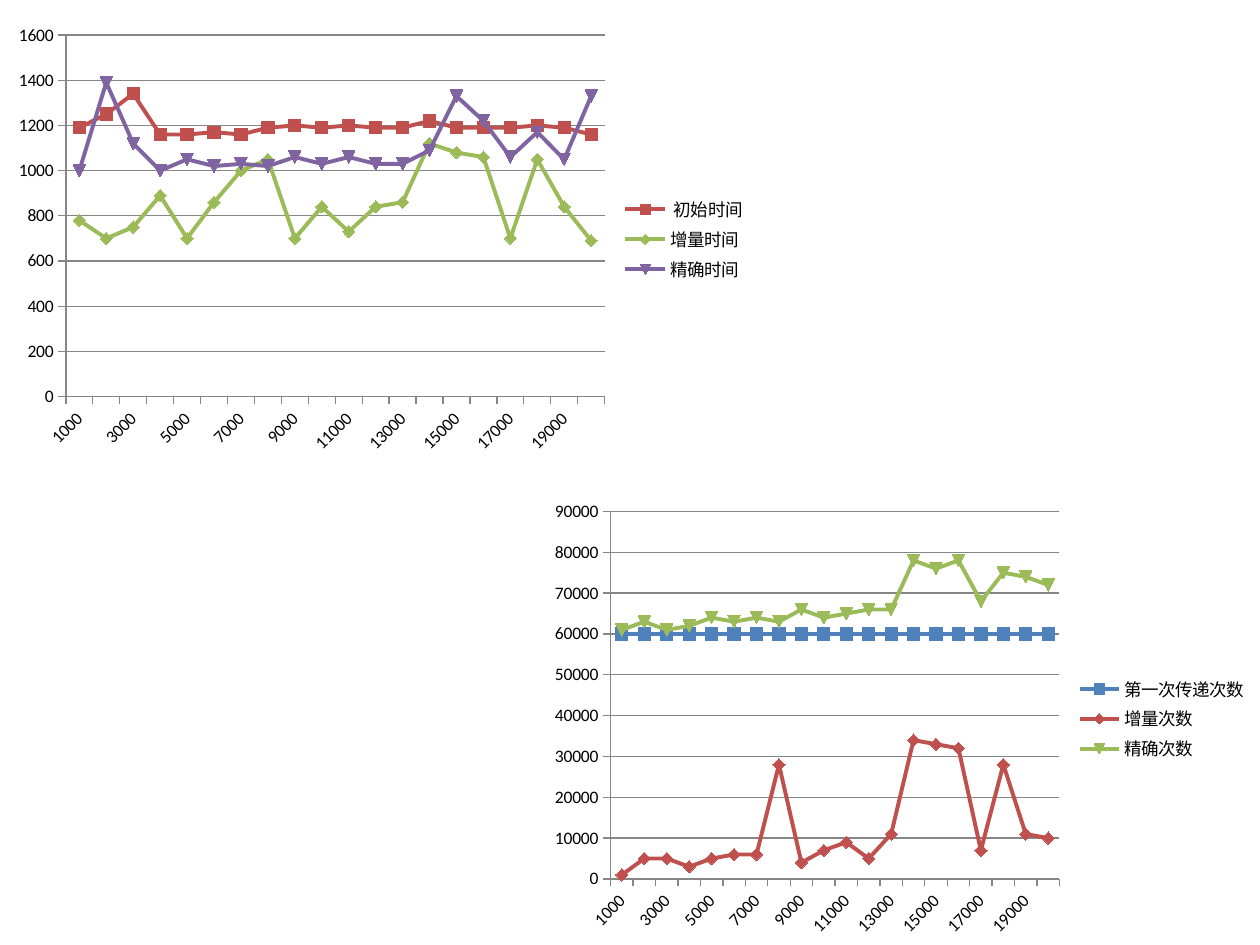
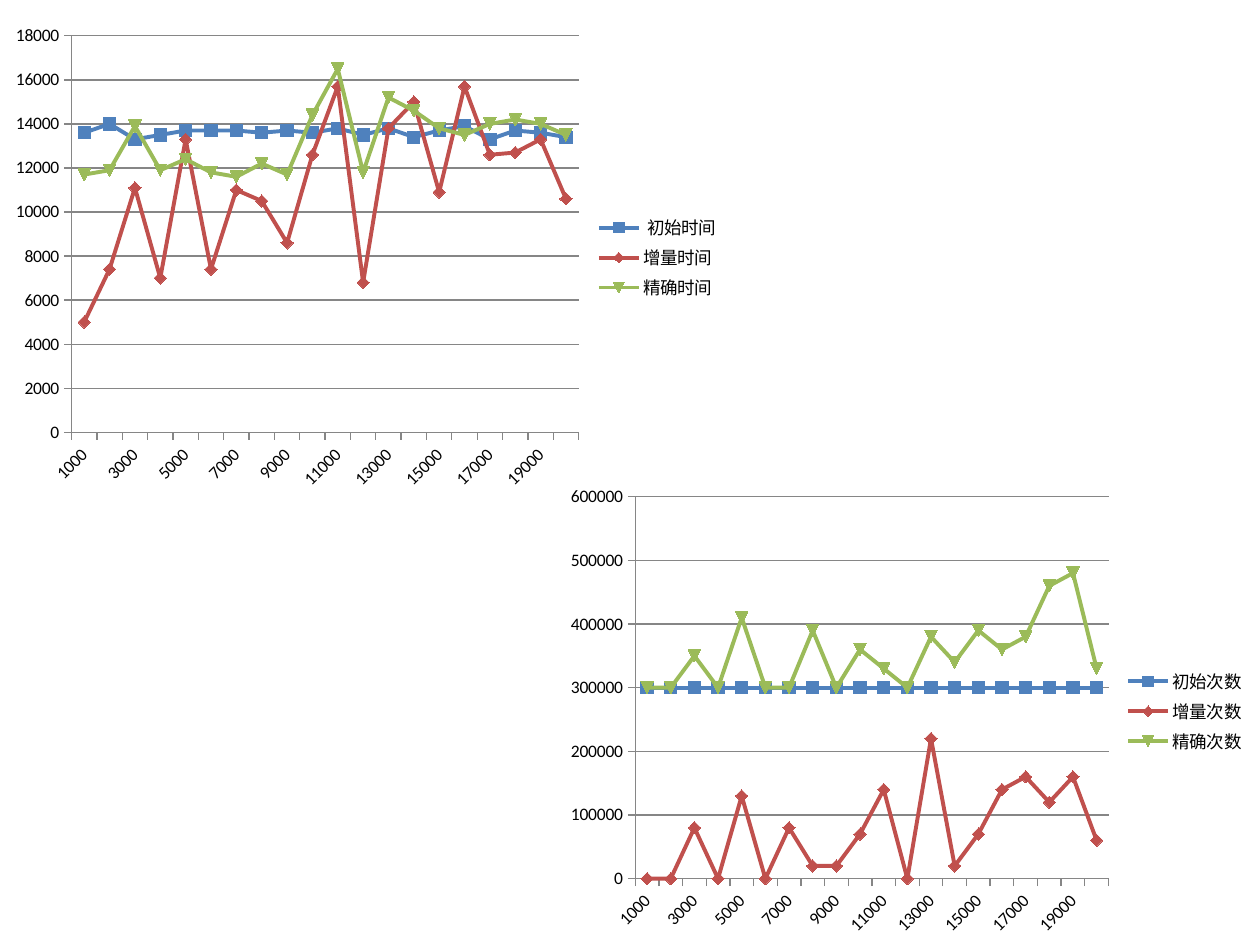
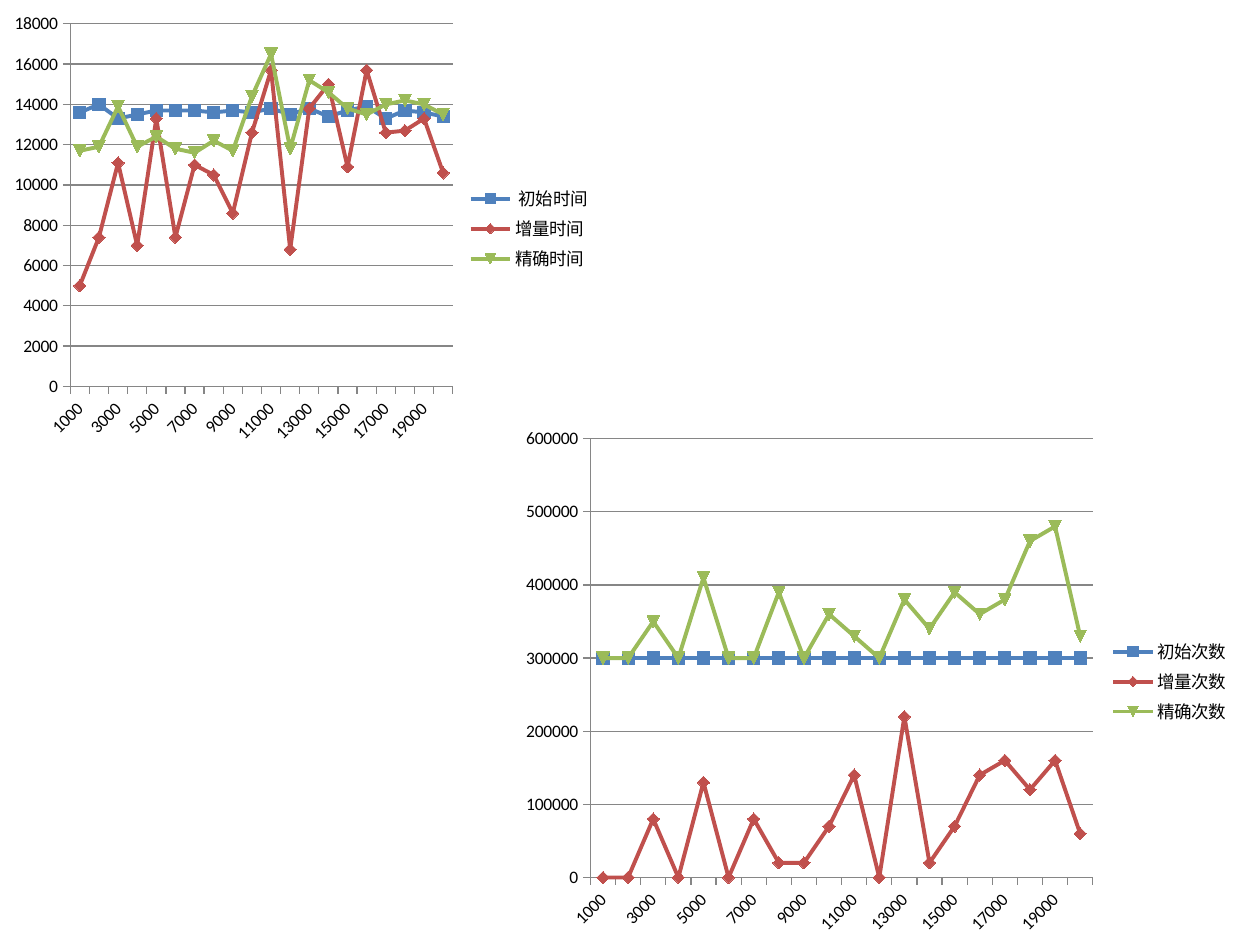
from dataclasses import dataclass

from pptx import Presentation
from pptx import util as u
from pptx.chart import data as chart_data
from pptx.dml import color
from pptx.enum import chart as chart_kinds


@dataclass(frozen=True)
class Theme:
    font: str = "Calibri"
    text_size: int = 10
    text: str = "000000"
    rule: str = "868686"
    blue: str = "4F81BD"
    red: str = "C0504D"
    green: str = "9BBB59"
    purple: str = "8064A2"
    rule_width: float = 0.75
    series_width: float = 2.25
    marker_size: int = 7


THEME = Theme()
STANDARD_COLORS = (THEME.blue, THEME.red, THEME.green)
SHIFTED_COLORS = (THEME.red, THEME.green, THEME.purple)
CATEGORIES = [str(1000 * step) for step in range(1, 21)]

SMALL_TIMES = {
    " 初始时间": [1190, 1250, 1340, 1160, 1160, 1170, 1160, 1190, 1200, 1190,
              1200, 1190, 1190, 1220, 1190, 1190, 1190, 1200, 1190, 1160],
    "增量时间": [780, 700, 750, 890, 700, 860, 1000, 1050, 700, 840,
             730, 840, 860, 1120, 1080, 1060, 700, 1050, 840, 690],
    "精确时间": [1000, 1390, 1120, 1000, 1050, 1020, 1030, 1020, 1060, 1030,
             1060, 1030, 1030, 1090, 1330, 1220, 1060, 1170, 1050, 1330],
}
SMALL_COUNTS = {
    "第一次传递次数": [60000] * len(CATEGORIES),
    "增量次数": [1000, 5000, 5000, 3000, 5000, 6000, 6000, 28000, 4000, 7000,
             9000, 5000, 11000, 34000, 33000, 32000, 7000, 28000, 11000, 10000],
    "精确次数": [61000, 63000, 61000, 62000, 64000, 63000, 64000, 63000, 66000, 64000,
             65000, 66000, 66000, 78000, 76000, 78000, 68000, 75000, 74000, 72000],
}
LARGE_TIMES = {
    " 初始时间": [13600, 14000, 13300, 13500, 13700, 13700, 13700, 13600, 13700, 13600,
              13800, 13500, 13800, 13400, 13700, 13900, 13300, 13700, 13600, 13400],
    "增量时间": [5000, 7400, 11100, 7000, 13300, 7400, 11000, 10500, 8600, 12600,
             15700, 6800, 13800, 15000, 10900, 15700, 12600, 12700, 13300, 10600],
    "精确时间": [11700, 11900, 13900, 11900, 12400, 11800, 11600, 12200, 11700, 14400,
             16500, 11800, 15200, 14600, 13800, 13500, 14000, 14200, 14000, 13500],
}
LARGE_COUNTS = {
    "初始次数": [300000] * len(CATEGORIES),
    "增量次数": [0, 0, 80000, 0, 130000, 0, 80000, 20000, 20000, 70000,
             140000, 0, 220000, 20000, 70000, 140000, 160000, 120000, 160000, 60000],
    "精确次数": [300000, 300000, 350000, 300000, 410000, 300000, 300000, 390000, 300000, 360000,
             330000, 300000, 380000, 340000, 390000, 360000, 380000, 460000, 480000, 330000],
}


def style_line(line, rgb, width):
    line.color.rgb = color.RGBColor.from_string(rgb)
    line.width = u.Pt(width)


def style_axes(chart):
    for axis in (chart.category_axis, chart.value_axis):
        axis.major_tick_mark = chart_kinds.XL_TICK_MARK.OUTSIDE
        axis.minor_tick_mark = chart_kinds.XL_TICK_MARK.NONE
        style_line(axis.format.line, THEME.rule, THEME.rule_width)
    chart.value_axis.has_major_gridlines = True
    style_line(chart.value_axis.major_gridlines.format.line, THEME.rule, THEME.rule_width)


def style_series(series, rgb):
    series.smooth = False
    style_line(series.format.line, rgb, THEME.series_width)
    series.marker.size = THEME.marker_size
    fill = series.marker.format.fill
    fill.solid()
    fill.fore_color.rgb = color.RGBColor.from_string(rgb)
    style_line(series.marker.format.line, rgb, THEME.rule_width)


def add_line_chart(slide, box, measurements, colors=STANDARD_COLORS):
    data = chart_data.CategoryChartData()
    data.categories = CATEGORIES
    for name, values in measurements.items():
        data.add_series(name, values)
    chart = slide.shapes.add_chart(
        chart_kinds.XL_CHART_TYPE.LINE_MARKERS, *map(u.Inches, box), data
    ).chart
    chart.has_title = False
    chart.font.name = THEME.font
    chart.font.size = u.Pt(THEME.text_size)
    chart.font.color.rgb = color.RGBColor.from_string(THEME.text)
    chart.has_legend = True
    chart.legend.position = chart_kinds.XL_LEGEND_POSITION.RIGHT
    chart.legend.include_in_layout = False
    style_axes(chart)
    plot = chart.plots[0]
    plot.vary_by_categories = False
    for series, rgb in zip(plot.series, colors):
        style_series(series, rgb)


def add_chart_slide(presentation, *charts):
    slide = presentation.slides.add_slide(presentation.slide_layouts[6])
    for chart in charts:
        add_line_chart(slide, *chart)


def main():
    presentation = Presentation()
    presentation.slide_width = u.Inches(10)
    presentation.slide_height = u.Inches(7.5)
    add_chart_slide(
        presentation,
        ((0.03, 0.13, 5.99, 3.54), SMALL_TIMES, SHIFTED_COLORS),
        ((4.29, 3.91, 5.71, 3.59), SMALL_COUNTS),
    )
    add_chart_slide(
        presentation,
        ((4.42, 3.79, 5.56, 3.71), LARGE_COUNTS),
        ((0.01, 0.13, 5.8, 3.83), LARGE_TIMES),
    )
    add_chart_slide(
        presentation,
        ((0.02, 0.04, 4.77, 3.55), LARGE_TIMES),
        ((4.06, 3.32, 5.8, 4.18), LARGE_COUNTS),
    )
    presentation.save("out.pptx")


if __name__ == "__main__":
    main()
